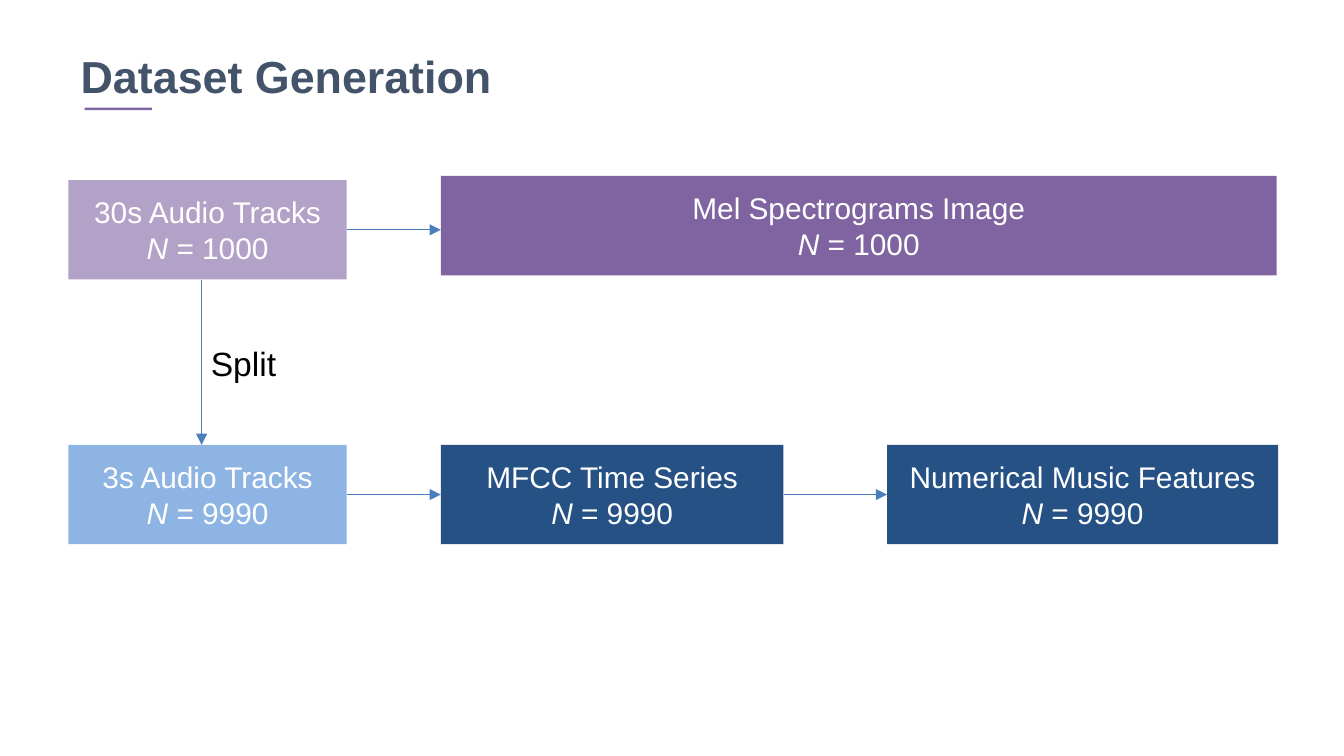
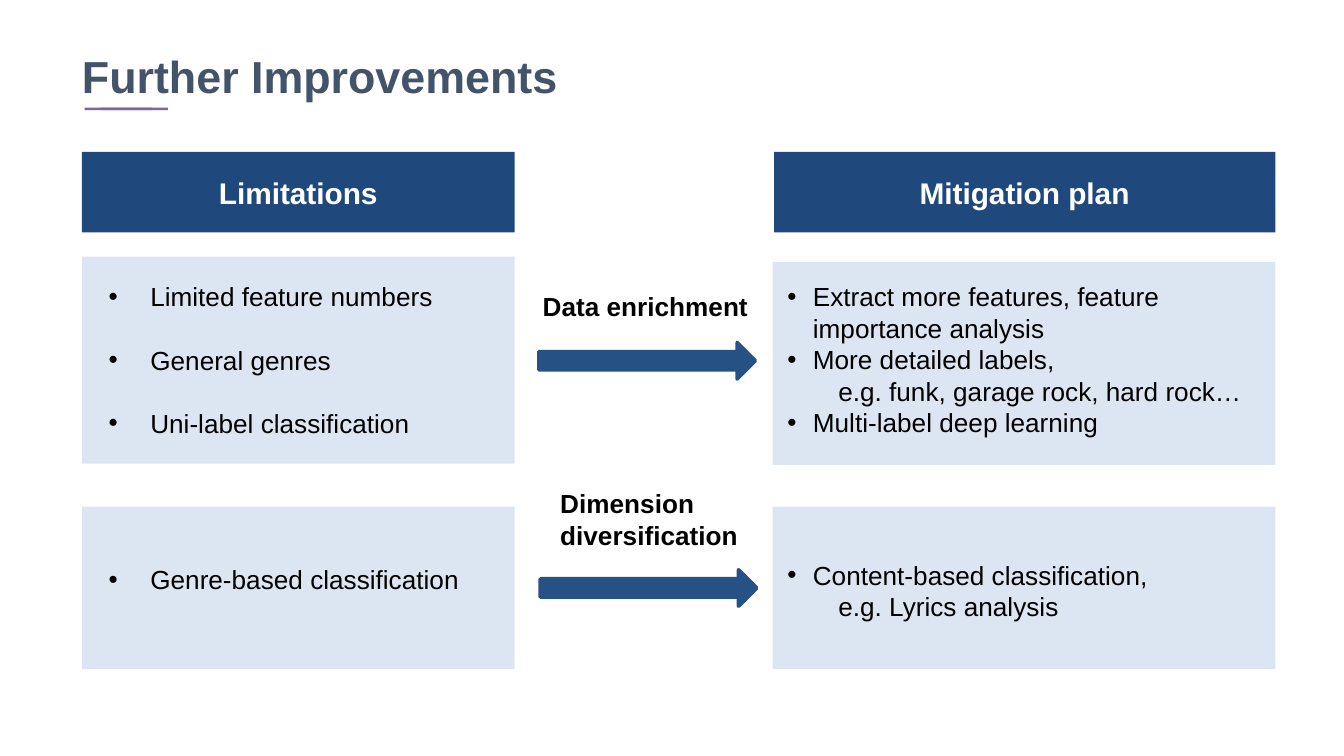
from dataclasses import dataclass

from lxml import etree
from pptx import Presentation
from pptx.dml.color import RGBColor
from pptx.enum import shapes, text
from pptx.oxml import ns
from pptx.util import Inches, Pt


@dataclass(frozen=True)
class Theme:
    font: str = "Arial"
    heading: str = "43536A"
    accent: str = "8064A2"
    lilac: str = "B3A2C7"
    sky: str = "8EB4E3"
    blue: str = "265185"
    navy: str = "1F497D"
    pale: str = "DCE6F2"
    link: str = "4B7EBC"
    white: str = "FFFFFF"
    black: str = "000000"
    title_size: int = 24
    label_size: int = 18
    box_size: int = 16
    body_size: int = 14


THEME = Theme()
RECT = shapes.MSO_SHAPE.RECTANGLE

# Dataset Generation: name -> (count, left, top, width, colour)
STAGE_HEIGHT = 0.74
STAGES = {
    "30s Audio Tracks": (1000, 0.51, 1.34, 2.07, THEME.lilac),
    "Mel Spectrograms Image": (1000, 3.28, 1.31, 6.22, THEME.accent),
    "3s Audio Tracks": (9990, 0.51, 3.31, 2.07, THEME.sky),
    "MFCC Time Series": (9990, 3.28, 3.31, 2.55, THEME.blue),
    "Numerical Music Features": (9990, 6.6, 3.31, 2.91, THEME.blue),
}
# Rightward flows leave the middle of the first stage; the split goes down
FLOWS = [
    ("30s Audio Tracks", "Mel Spectrograms Image"),
    ("3s Audio Tracks", "MFCC Time Series"),
    ("MFCC Time Series", "Numerical Music Features"),
]
SPLIT = ("30s Audio Tracks", "3s Audio Tracks")
SPLIT_X = 1.5

# Further Improvements: panels are (top, height), points are (text, space before)
HEADER_TOP, HEADER_HEIGHT = 1.13, 0.6
COLUMNS = [
    dict(header="Limitations", left=0.61, width=3.22,
         panel_left=0.61, panels=[(1.91, 1.54), (3.77, 1.21)],
         list_at=(0.71, 2.04, 3.62, 2.46), hang=0.31,
         points=[("Limited feature numbers", 0), ("General genres", 17),
                 ("Uni-label classification", 17),
                 ("Genre-based classification", 67)]),
    dict(header="Mitigation plan", left=5.76, width=3.73,
         panel_left=5.75, panels=[(1.95, 1.51), (3.77, 1.21)],
         list_at=(5.76, 2.04, 3.73, 2.69), hang=0.19,
         points=[("Extract more features, feature importance analysis", 0),
                 ("More detailed labels,", 0),
                 ("e.g. funk, garage rock, hard rock…", 0),
                 ("Multi-label deep learning", 0),
                 ("Content-based classification,", 65),
                 ("e.g. Lyrics analysis", 0)]),
]
EXAMPLE_INDENT = 0.38
# label lines, label position, arrow position
STRATEGIES = [
    (["Data enrichment"], (3.94, 2.11, 1.94, 0.34), (4.01, 2.55, 1.61, 0.27)),
    (["Dimension", "diversification"], (4.07, 3.58, 1.61, 0.57),
     (4.02, 4.24, 1.61, 0.27)),
]


# Shared helpers
def rgb(colour):
    return RGBColor.from_string(colour)


def style(font, size, colour, **extra):
    for name, value in dict(name=THEME.font, size=Pt(size), **extra).items():
        setattr(font, name, value)
    font.color.rgb = rgb(colour)


def add_filled(slide, at, colour, preset=RECT):
    shape = slide.shapes.add_shape(preset, *map(Inches, at))
    shape.shadow.inherit = False
    shape.fill.solid()
    shape.fill.fore_color.rgb = rgb(colour)
    shape.line.fill.background()
    return shape


def paragraphs(frame, count):
    frame.word_wrap = True
    return [frame.paragraphs[0]] + [frame.add_paragraph() for _ in range(count - 1)]


def add_label(slide, at, lines, size, **extra):
    frame = slide.shapes.add_textbox(*map(Inches, at)).text_frame
    for paragraph, line in zip(paragraphs(frame, len(lines)), lines):
        run = paragraph.add_run()
        run.text = line
        style(run.font, size, THEME.black, **extra)


def add_box_text(shape, lines):
    """Each line is a list of (text, font extras) runs, centred in the shape."""
    frame = shape.text_frame
    frame.vertical_anchor = text.MSO_ANCHOR.MIDDLE
    for paragraph, runs in zip(paragraphs(frame, len(lines)), lines):
        paragraph.alignment = text.PP_ALIGN.CENTER
        for words, extra in runs:
            run = paragraph.add_run()
            run.text = words
            style(run.font, THEME.box_size, THEME.white, **extra)


def add_titled_slide(prs, title, left, rule_lefts):
    slide = prs.slides.add_slide(prs.slide_layouts[5])
    holder = slide.shapes.title
    place = dict(left=left, top=0.23, width=8.88, height=0.66)
    for side, length in place.items():
        setattr(holder, side, Inches(length))
    holder.text_frame.text = title
    holder.text_frame.vertical_anchor = text.MSO_ANCHOR.MIDDLE
    paragraph = holder.text_frame.paragraphs[0]
    paragraph.alignment = text.PP_ALIGN.LEFT
    style(paragraph.runs[0].font, THEME.title_size, THEME.heading, bold=True)
    for rule_left in rule_lefts:
        add_filled(slide, (rule_left, 0.8, 0.5, 0.02), THEME.accent)
    return slide


def add_flow(slide, *ends):
    flow = slide.shapes.add_connector(shapes.MSO_CONNECTOR.STRAIGHT, *ends)
    flow.line.color.rgb = rgb(THEME.link)
    flow.line.width = Pt(0.75)
    etree.SubElement(flow.line._get_or_add_ln(), ns.qn("a:tailEnd"), type="triangle")
    etree.SubElement(flow._element.spPr, ns.qn("a:effectLst"))


def add_points(slide, at, points, hang):
    frame = slide.shapes.add_textbox(*map(Inches, at)).text_frame
    for paragraph, (words, gap) in zip(paragraphs(frame, len(points)), points):
        props = paragraph._p.get_or_add_pPr()
        if words.startswith("e.g."):
            props.set("marL", str(Inches(EXAMPLE_INDENT)))
        else:
            props.set("marL", str(Inches(hang)))
            props.set("indent", str(-Inches(hang)))
            etree.SubElement(props, ns.qn("a:buFont"), typeface=THEME.font)
            etree.SubElement(props, ns.qn("a:buChar"), char="•")
        if gap:
            paragraph.space_before = Pt(gap)
        run = paragraph.add_run()
        run.text = words
        style(run.font, THEME.body_size, THEME.black)


# Slides
def build_dataset(prs):
    slide = add_titled_slide(prs, "Dataset Generation", 0.5, [0.63])
    stages = {}
    for name, (count, left, top, width, colour) in STAGES.items():
        stage = add_filled(slide, (left, top, width, STAGE_HEIGHT), colour)
        add_box_text(stage, [[(name, {})],
                             [("N", dict(italic=True)), (f" = {count}", {})]])
        stages[name] = stage
    for source, target in FLOWS:
        start, end = stages[source], stages[target]
        middle = start.top + start.height // 2
        add_flow(slide, start.left + start.width, middle, end.left, middle)
    upper, lower = (stages[name] for name in SPLIT)
    add_flow(slide, Inches(SPLIT_X), upper.top + upper.height,
             Inches(SPLIT_X), lower.top)
    add_label(slide, (1.47, 2.5, 1.11, 0.4), ["Split"], THEME.label_size)


def build_improvements(prs):
    slide = add_titled_slide(prs, "Further Improvements", 0.51, [0.63, 0.75])
    for column in COLUMNS:
        left, width = column["left"], column["width"]
        header = add_filled(slide, (left, HEADER_TOP, width, HEADER_HEIGHT), THEME.navy)
        add_box_text(header, [[(column["header"], dict(bold=True))]])
        panel_width = left + width - column["panel_left"]
        for top, height in column["panels"]:
            add_filled(slide, (column["panel_left"], top, panel_width, height), THEME.pale)
        add_points(slide, column["list_at"], column["points"], column["hang"])
    for lines, label_at, arrow_at in STRATEGIES:
        add_label(slide, label_at, lines, THEME.body_size, bold=True)
        arrow = add_filled(slide, arrow_at, THEME.blue, shapes.MSO_SHAPE.RIGHT_ARROW)
        arrow.line.color.rgb = rgb(THEME.blue)
        arrow.line.width = Pt(2)


def main():
    prs = Presentation()
    prs.slide_width = Inches(10)
    prs.slide_height = prs.slide_width * 9 // 16
    build_dataset(prs)
    build_improvements(prs)
    prs.save("out.pptx")


if __name__ == "__main__":
    main()
